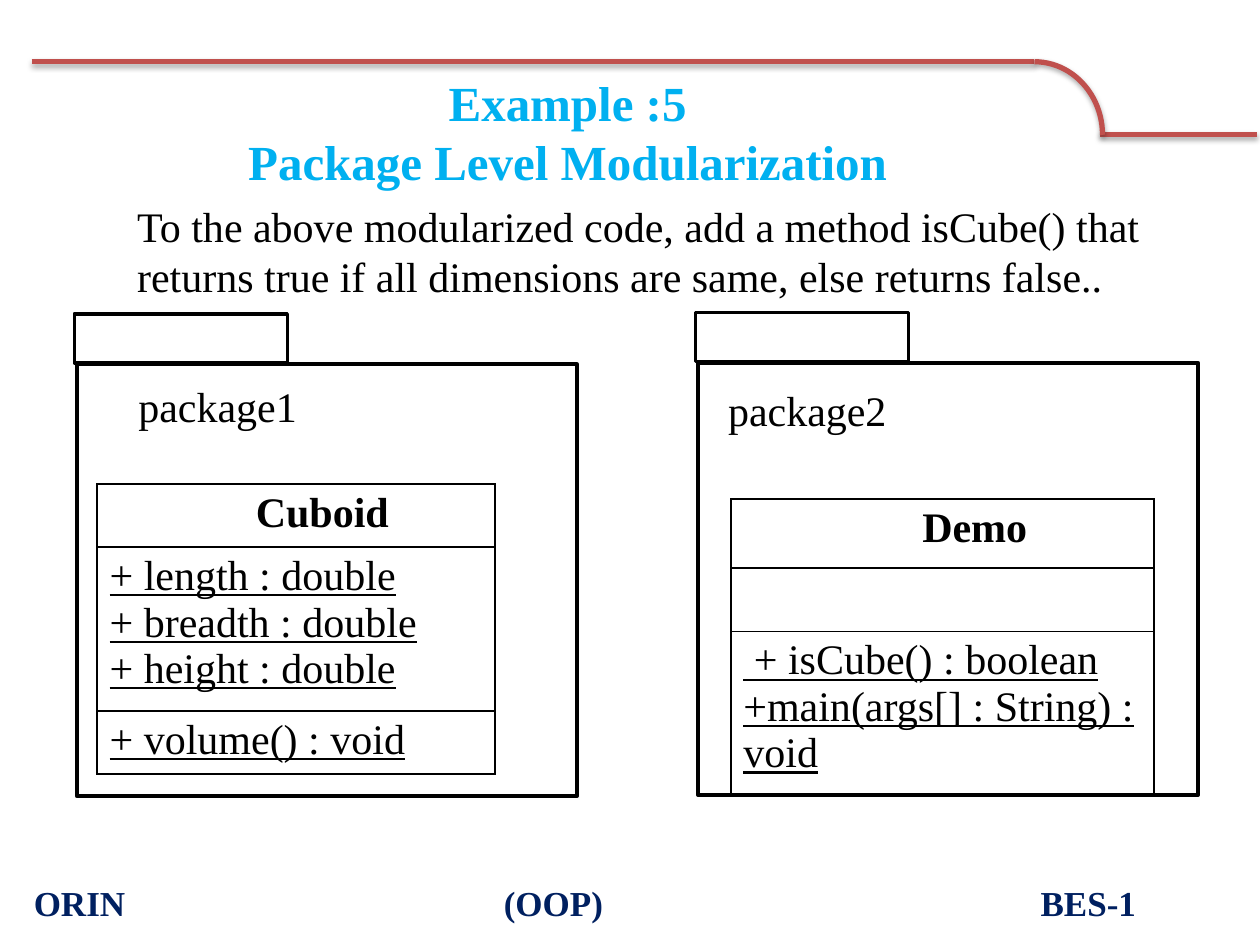
from lxml import etree
from pptx import Presentation
from pptx.dml.color import RGBColor
from pptx.enum.shapes import MSO_CONNECTOR, MSO_SHAPE
from pptx.enum.text import MSO_ANCHOR, PP_ALIGN
from pptx.oxml.ns import qn
from pptx.util import Inches, Pt

STRAIGHT = MSO_CONNECTOR.STRAIGHT
ARC, RECTANGLE = MSO_SHAPE.ARC, MSO_SHAPE.RECTANGLE
MIDDLE, TOP = MSO_ANCHOR.MIDDLE, MSO_ANCHOR.TOP
LEFT, CENTER = PP_ALIGN.LEFT, PP_ALIGN.CENTER

FONT = "Times New Roman"
COLORS = {"rule": "C0504D", "title": "00B0F0", "footer": "002060", "ink": "000000"}


def color(name):
    """Return the named palette colour."""
    return RGBColor.from_string(COLORS[name])


def write(frame, text, size=24, ink="ink", bold=False, underline=False,
          align=LEFT, anchor=TOP):
    """Fill a text frame, one paragraph per line of text."""
    frame.word_wrap = True
    frame.vertical_anchor = anchor
    frame.text = text
    for paragraph in frame.paragraphs:
        paragraph.alignment = align
        font = paragraph.font
        font.size, font.name = Pt(size), FONT
        font.bold, font.underline = bold, underline
        font.color.rgb = color(ink)


def add_label(slide, box, text, **style):
    """Add a formatted text box and return its frame."""
    frame = slide.shapes.add_textbox(*map(Inches, box)).text_frame
    write(frame, text, **style)
    return frame


def style_rule(rule):
    """Give a header rule its line and soft shadow."""
    rule.line.color.rgb = color("rule")
    rule.line.width = Pt(3)
    effects = etree.SubElement(rule._element.spPr, qn("a:effectLst"))
    shadow = etree.SubElement(
        effects, qn("a:outerShdw"), blurRad=str(Pt(3.1)), dist=str(Pt(1.8)),
        dir="5400000", rotWithShape="0")
    black = etree.SubElement(shadow, qn("a:srgbClr"), val=COLORS["ink"])
    etree.SubElement(black, qn("a:alpha"), val="35000")


def add_header(slide, box):
    """Draw the stepped rule across the box with an arc joining its levels."""
    left, top, width, height = box
    right, bottom = left + width, top + height
    for start, end, level in ((right - 1.25, right, bottom),
                              (left, right - 1.77, top)):
        points = map(Inches, (start, level, end, level))
        style_rule(slide.shapes.add_connector(STRAIGHT, *points))
    arc = slide.shapes.add_shape(
        ARC, *map(Inches, (right - 2.31, top, 1.08, 2 * height)))
    arc.fill.background()
    style_rule(arc)


def add_title(slide, box, text):
    """Place and format the title placeholder."""
    title = slide.shapes.title
    title.left, title.top, title.width, title.height = map(Inches, box)
    write(title.text_frame, text, size=28, ink="title", bold=True,
          align=CENTER, anchor=MIDDLE)


def add_footer(slide, box, parts, stops):
    """Write the footer parts on one line at tab stops."""
    frame = add_label(slide, box, "\t".join(parts), size=20, ink="footer",
                      bold=True, anchor=MIDDLE)
    properties = frame.paragraphs[0]._p.get_or_add_pPr()
    tabs = etree.Element(qn("a:tabLst"))
    for stop in stops:
        etree.SubElement(tabs, qn("a:tab"), pos=str(Inches(stop)), algn="l")
    properties.find(qn("a:defRPr")).addprevious(tabs)


def border_cell(cell):
    """Draw thin lines on all four sides of a cell and leave it unfilled."""
    properties = cell._tc.get_or_add_tcPr()
    for side in ("lnL", "lnR", "lnT", "lnB"):
        edge = etree.SubElement(properties, qn(f"a:{side}"), w=str(Pt(1)))
        fill = etree.SubElement(edge, qn("a:solidFill"))
        etree.SubElement(fill, qn("a:srgbClr"), val=COLORS["ink"])
    cell.fill.background()


def add_class(slide, box, members, heights, name_margin):
    """Add a class table: name, attributes and methods."""
    table = slide.shapes.add_table(len(members), 1, *map(Inches, box)).table
    table.first_row = table.horz_banding = False
    for index, (text, height) in enumerate(zip(members, heights)):
        table.rows[index].height = Inches(height)
        cell = table.cell(index, 0)
        is_name = index == 0
        write(cell.text_frame, text, bold=is_name, underline=not is_name)
        if is_name:
            cell.margin_left = Inches(name_margin)
        border_cell(cell)


def add_package(slide, box, name, name_offset):
    """Draw a package outline with its tab and name."""
    left, top, width, height = box
    for outline in (box, (left - 0.02, top - 0.4, 1.69, 0.39)):
        frame = slide.shapes.add_shape(RECTANGLE, *map(Inches, outline))
        frame.shadow.inherit = False
        frame.fill.background()
        frame.line.color.rgb = color("ink")
        frame.line.width = Pt(2)
    dx, dy = name_offset
    add_label(slide, (left + dx, top + dy, 1.46, 0.5), name)


def main():
    """Build and save the slide."""
    presentation = Presentation()
    presentation.slide_width, presentation.slide_height = Inches(10), Inches(7.5)
    slide = presentation.slides.add_slide(presentation.slide_layouts[5])

    add_header(slide, (0.25, 0.49, 9.73, 0.58))
    add_title(slide, (0, 0.68, 9.01, 0.72),
              "Example :5\vPackage Level Modularization")
    add_footer(slide, (0.17, 6.9, 9.54, 0.52), ("ORIN", "(OOP)", "BES-1"),
               (3.73, 7.99))
    add_label(slide, (0.99, 1.54, 8.27, 0.91),
              "To the above modularized code, add a method isCube() that "
              "returns true if all dimensions are same, else returns false..")

    add_class(slide, (0.77, 3.84, 3.16, 2.3),
              ("Cuboid",
               "+ length : double\n+ breadth : double\n+ height : double",
               "+ volume() : void"),
              (0.5, 1.3, 0.5), 1.26)
    add_class(slide, (5.8, 3.96, 3.36, 2.35),
              ("Demo", "", " + isCube() : boolean\n+main(args[] : String) : void"),
              (0.55, 0.5, 1.3), 1.52)
    add_package(slide, (0.61, 2.89, 3.97, 3.43), "package1", (0.39, 0.08))
    add_package(slide, (5.54, 2.88, 3.97, 3.43), "package2", (0.14, 0.12))

    presentation.save("out.pptx")


if __name__ == "__main__":
    main()
